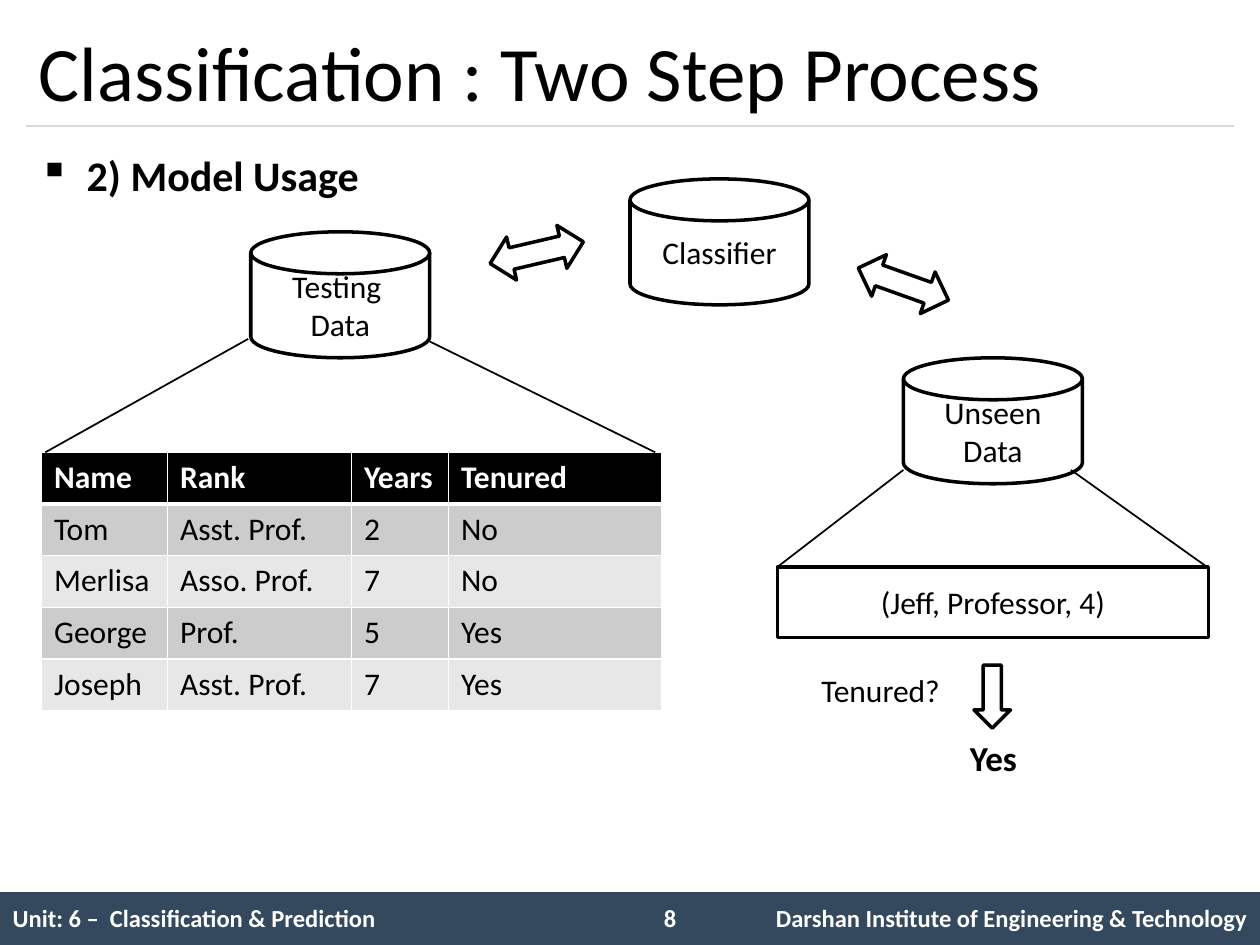
import pptx
import pptx.util
import pptx.dml.color
import pptx.enum.shapes
import pptx.enum.text
import pptx.oxml
import pptx.oxml.ns

Inches, Pt = pptx.util.Inches, pptx.util.Pt
RGBColor = pptx.dml.color.RGBColor
SHAPE = pptx.enum.shapes.MSO_SHAPE
ALIGN = pptx.enum.text.PP_ALIGN
ANCHOR = pptx.enum.text.MSO_ANCHOR

BLACK = RGBColor(0x00, 0x00, 0x00)
WHITE = RGBColor(0xFF, 0xFF, 0xFF)
NAVY = RGBColor(0x34, 0x49, 0x5E)
RULE_GRAY = RGBColor(0xD9, 0xD9, 0xD9)
BANDS = [RGBColor(0xCC, 0xCC, 0xCC), RGBColor(0xE7, 0xE7, 0xE7)]
FONT = "Calibri"

TITLE = "Classification : Two Step Process"
STEP = "2) Model Usage"
FOOTER = ["Unit: 6 –  Classification & Prediction", "",
          "Darshan Institute of Engineering & Technology"]
FOOTER_COLUMNS = [5.08, 0.67, 4.25]
PAGE_NUMBER = "8"

TESTING_ROWS = [
    ("Name", "Rank", "Years", "Tenured"),
    ("Tom", "Asst. Prof.", "2", "No"),
    ("Merlisa", "Asso. Prof.", "7", "No"),
    ("George", "Prof.", "5", "Yes"),
    ("Joseph", "Asst. Prof.", "7", "Yes"),
]
TESTING_COLUMNS = [1, 1.46, 0.77, 1.69]
ROW_HEIGHT = 0.41

# preset, left, top, width, height, rotation, paragraphs
DISK = SHAPE.FLOWCHART_MAGNETIC_DISK
FIGURES = [
    (DISK, 1.99, 1.84, 1.42, 1, 0, ["Testing ", "Data"]),
    (DISK, 5, 1.42, 1.42, 1, 0, ["Classifier"]),
    (DISK, 7.17, 2.84, 1.42, 1, 0, ["Unseen Data"]),
    (SHAPE.RECTANGLE, 6.17, 4.5, 3.42, 0.56, 0, ["(Jeff, Professor, 4)"]),
    (SHAPE.DOWN_ARROW, 7.73, 5.28, 0.29, 0.5, 0, []),
    (SHAPE.LEFT_RIGHT_ARROW, 3.88, 1.83, 0.76, 0.35, 346.9, []),
    (SHAPE.LEFT_RIGHT_ARROW, 6.79, 2.08, 0.76, 0.35, 19.6, []),
]
# left, top, width, height, text, size, bold
LABELS = [
    (6.42, 5.28, 1.17, 0.4, "Tenured?", 18, False),
    (7.6, 5.8, 0.73, 0.44, "Yes", 20, True),
]
ZOOM_LINES = [
    (3.41, 2.71, 5.2, 3.59), (1.97, 2.69, 0.36, 3.59),
    (8.5, 3.73, 9.58, 4.5), (7.17, 3.73, 6.17, 4.5),
]


def write(frame, lines, size, color=BLACK, bold=False, align=ALIGN.LEFT):
    for index, line in enumerate(lines):
        para = frame.paragraphs[0] if index == 0 else frame.add_paragraph()
        para.alignment = align
        span = para.add_run()
        span.text = line
        span.font.name = FONT
        span.font.size = Pt(size)
        span.font.bold = bold
        span.font.color.rgb = color


def add_label(page, left, top, width, height, text, size, bold=False, color=BLACK):
    box = page.shapes.add_textbox(Inches(left), Inches(top), Inches(width), Inches(height))
    box.text_frame.word_wrap = True
    write(box.text_frame, [text], size, color, bold)
    return box


def add_figure(page, preset, left, top, width, height, rotation, lines):
    figure = page.shapes.add_shape(preset, Inches(left), Inches(top), Inches(width), Inches(height))
    figure.shadow.inherit = False
    figure.rotation = rotation
    figure.fill.solid()
    figure.fill.fore_color.rgb = WHITE
    figure.line.color.rgb = BLACK
    figure.line.width = Pt(2)
    figure.text_frame.vertical_anchor = ANCHOR.MIDDLE
    write(figure.text_frame, lines, 18, align=ALIGN.CENTER)


def add_line(page, x1, y1, x2, y2, color, width):
    line = page.shapes.add_connector(pptx.enum.shapes.MSO_CONNECTOR.STRAIGHT,
                                     Inches(x1), Inches(y1), Inches(x2), Inches(y2))
    line.line.color.rgb = color
    line.line.width = Pt(width)
    properties = line._element.spPr
    properties.append(properties.makeelement(pptx.oxml.ns.qn("a:effectLst"), {}))


def set_borders(cell, color=None, bottom=1):
    """Draw one-point cell borders, or hide them when no color is given."""
    properties = cell._tc.get_or_add_tcPr()
    paint = f'<a:solidFill><a:srgbClr val="{color}"/></a:solidFill>' if color else "<a:noFill/>"
    for side in "LRTB":
        width = Pt(bottom if side == "B" else 1)
        properties.append(pptx.oxml.parse_xml(
            f'<a:ln{side} {pptx.oxml.ns.nsdecls("a")} w="{width}">{paint}</a:ln{side}>'))


def add_grid(page, left, top, columns, row_count, row_height):
    grid = page.shapes.add_table(row_count, len(columns), Inches(left), Inches(top),
                                 Inches(sum(columns)), Inches(row_height * row_count)).table
    for column, width in zip(grid.columns, columns):
        column.width = Inches(width)
    return grid


def add_footer(page):
    bar = page.shapes.add_shape(SHAPE.RECTANGLE, 0, Inches(7.08), Inches(10), Inches(0.42))
    bar.shadow.inherit = False
    bar.fill.solid()
    bar.fill.fore_color.rgb = NAVY
    bar.line.fill.background()
    grid = add_grid(page, 0, 7.08, FOOTER_COLUMNS, 1, 0.43)
    for cell, text, align in zip(grid.rows[0].cells, FOOTER,
                                 (ALIGN.LEFT, ALIGN.CENTER, ALIGN.RIGHT)):
        set_borders(cell)
        cell.fill.background()
        cell.vertical_anchor = ANCHOR.MIDDLE
        if text:
            write(cell.text_frame, [text], 14, WHITE, True, align)
    add_label(page, 5.17, 7.12, 0.58, 0.34, PAGE_NUMBER, 14, True, WHITE)


def add_heading(page):
    add_line(page, 0.21, 1, 9.79, 1, RULE_GRAY, 0.75)
    title = add_label(page, 0.21, 0.12, 9.58, 0.88, TITLE, 44)
    title.text_frame.vertical_anchor = ANCHOR.MIDDLE
    body = add_label(page, 0.21, 1.08, 9.58, 5.83, STEP, 24, True)
    para = body.text_frame.paragraphs[0]
    properties = para._p.get_or_add_pPr()
    properties.set("marL", str(Inches(0.38)))
    properties.set("indent", str(Inches(-0.38)))
    properties.append(properties.makeelement(pptx.oxml.ns.qn("a:buChar"), {"char": "▪"}))
    para.line_spacing = 1.14


def add_testing_table(page):
    grid = add_grid(page, 0.33, 3.59, TESTING_COLUMNS, len(TESTING_ROWS), ROW_HEIGHT)
    for index, (row, texts) in enumerate(zip(grid.rows, TESTING_ROWS)):
        header = index == 0
        for cell, text in zip(row.cells, texts):
            set_borders(cell, WHITE, 3 if header else 1)
            cell.fill.solid()
            cell.fill.fore_color.rgb = BLACK if header else BANDS[(index - 1) % 2]
            write(cell.text_frame, [text], 18, WHITE if header else BLACK, header)


def main():
    deck = pptx.Presentation()
    deck.slide_width, deck.slide_height = Inches(10), Inches(7.5)
    page = deck.slides.add_slide(deck.slide_layouts[6])
    add_footer(page)
    add_heading(page)
    add_testing_table(page)
    for figure in FIGURES:
        add_figure(page, *figure)
    for ends in ZOOM_LINES:
        add_line(page, *ends, BLACK, 1)
    for label in LABELS:
        add_label(page, *label)
    deck.save("out.pptx")


if __name__ == "__main__":
    main()
